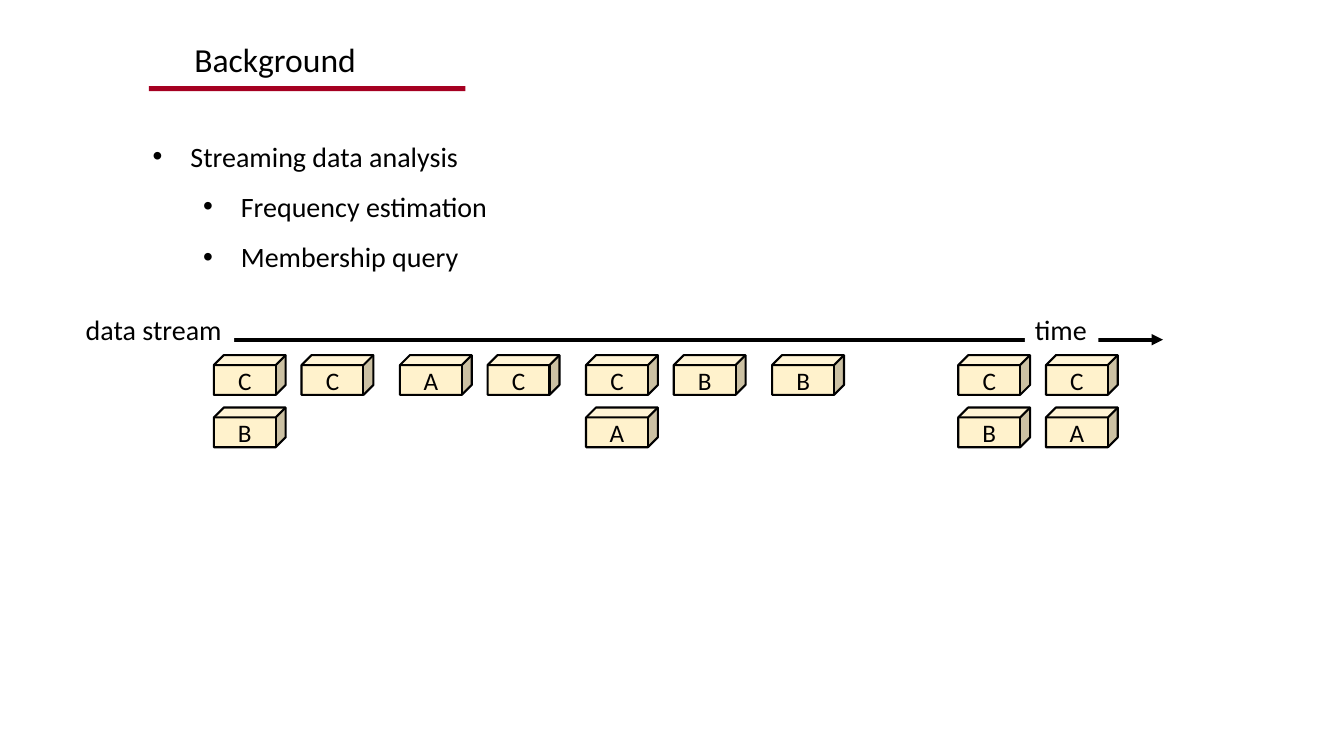
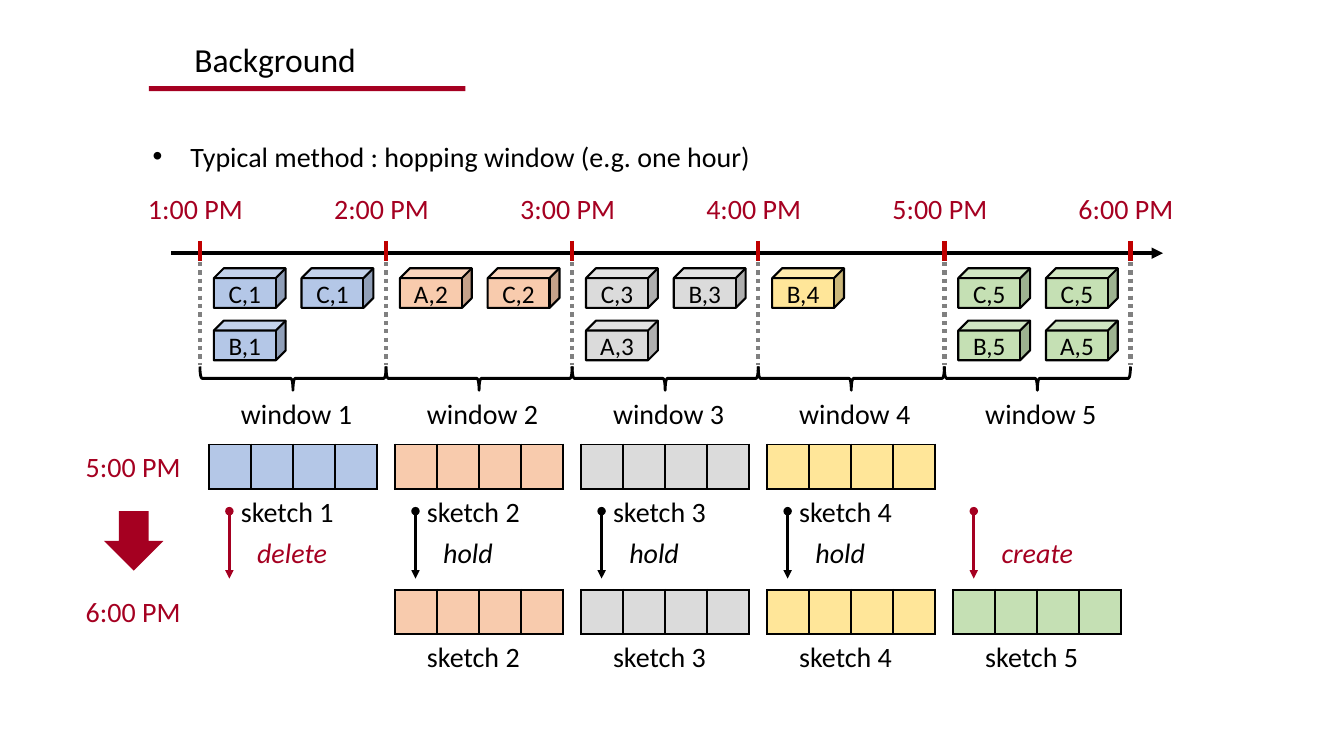
import pptx
import pptx.dml.color
import pptx.enum.dml
import pptx.enum.shapes
import pptx.enum.text
import pptx.oxml
import pptx.oxml.ns
import pptx.util

Cm = pptx.util.Cm
Pt = pptx.util.Pt
rgb = pptx.dml.color.RGBColor.from_string
SHAPE = pptx.enum.shapes.MSO_SHAPE
ALIGN = pptx.enum.text.PP_ALIGN
NS = pptx.oxml.ns.nsdecls("a")
FONT = "Calibri"
RED, BLACK, WHITE = "A50021", "000000", "FFFFFF"


def add_text(s, x, y, w, h, t, size=20, color=BLACK, italic=False, wrap=False):
    sp = s.shapes.add_textbox(Cm(x), Cm(y), Cm(w), Cm(h))
    tf = sp.text_frame
    tf.word_wrap = wrap
    tf.text = t
    for p in tf.paragraphs:
        for r in p.runs:
            r.font.name = FONT
            r.font.size = Pt(size)
            r.font.italic = italic
            r.font.color.rgb = rgb(color)
    return sp


def add_line(s, x1, y1, x2, y2, color, width, head="none", tail="none", dash=None):
    cn = s.shapes.add_connector(
        pptx.enum.shapes.MSO_CONNECTOR.STRAIGHT, Cm(x1), Cm(y1), Cm(x2), Cm(y2))
    cn.line.color.rgb = rgb(color)
    cn.line.width = Pt(width)
    if dash:
        cn.line.dash_style = dash
    ln = cn.get_or_add_ln()
    for tag, end in (("headEnd", head), ("tailEnd", tail)):
        ln.append(pptx.oxml.parse_xml(f'<a:{tag} {NS} type="{end}"/>'))
    cn._element.spPr.append(pptx.oxml.parse_xml(f"<a:effectLst {NS}/>"))


prs = pptx.Presentation()
prs.slide_width = Cm(33.87)
prs.slide_height = Cm(19.05)

START, PITCH = 5.04, 4.69
windows = [
    ("B4C7E7", "CCB"),
    ("F8CBAD", "AC"),
    ("DBDBDB", "CBA"),
    ("FFE699", "B"),
    ("C5E0B4", "CCBA"),
]
pages = [
    ([(0, "Streaming data analysis"), (1, "Frequency estimation"), (1, "Membership query")],
     8.56, 8.95, False),
    ([(0, "Typical method : hopping window (e.g. one hour)")], 6.38, 6.76, True),
]

for bullets, axis_y, cube_y, windowed in pages:
    s = prs.slides.add_slide(prs.slide_layouts[6])
    add_text(s, 4.65, 0.86, 18.24, 1.27, "Background", size=24, wrap=True)
    sp = s.shapes.add_shape(SHAPE.RECTANGLE, Cm(3.75), Cm(2.17), Cm(7.98), Cm(0.13))
    sp.shadow.inherit = False
    sp.fill.solid()
    sp.fill.fore_color.rgb = rgb(RED)
    sp.line.fill.background()

    t = "\n".join(item for level, item in bullets)
    sp = add_text(s, 2.31, 3.38, 27.48, 1.28 * len(bullets) - 0.16, t, wrap=True)
    for p, (level, item) in zip(sp.text_frame.paragraphs, bullets):
        p.level = level
        p.alignment = ALIGN.JUSTIFY
        p.space_after = Pt(12)
        pPr = p._p.get_or_add_pPr()
        pPr.set("marL", str(Cm(2.24 + 1.27 * level)))
        pPr.set("indent", str(Cm(-0.95)))
        pPr.append(pptx.oxml.parse_xml(f'<a:buFont {NS} typeface="Arial"/>'))
        pPr.append(pptx.oxml.parse_xml(f'<a:buChar {NS} char="•"/>'))

    add_line(s, 4.32, axis_y, 29.31, axis_y, BLACK, 2.75, tail="triangle")

    for i, (color, items) in enumerate(windows):
        for k, item in enumerate(items):
            row, col = divmod(k, 2)
            sp = s.shapes.add_shape(
                SHAPE.CUBE, Cm(START + PITCH * i + 0.35 + 2.21 * col),
                Cm(cube_y + 1.32 * row), Cm(1.81), Cm(1))
            sp.shadow.inherit = False
            sp.fill.solid()
            sp.fill.fore_color.rgb = rgb(color if windowed else "FFF2CC")
            sp.line.color.rgb = rgb(BLACK)
            sp.line.width = Pt(1.5)
            tf = sp.text_frame
            tf.margin_left = tf.margin_right = tf.margin_top = tf.margin_bottom = 0
            tf.vertical_anchor = pptx.enum.text.MSO_ANCHOR.MIDDLE
            tf.text = f"{item},{i + 1}" if windowed else item
            p = tf.paragraphs[0]
            p.alignment = ALIGN.CENTER
            r = p.runs[0]
            r.font.name = FONT
            r.font.size = Pt(18)
            r.font.color.rgb = rgb(BLACK)

s = prs.slides[0]
for x, w, t in [(1.91, 3.99, "data stream"), (25.83, 1.85, "time")]:
    sp = add_text(s, x, 7.75, w, 1.11, t)
    sp.fill.solid()
    sp.fill.fore_color.rgb = rgb(WHITE)

s = prs.slides[1]
for i in range(len(windows) + 1):
    x = START + PITCH * i
    add_line(s, x, 6.07, x, 6.58, "C00000", 3)
    add_line(s, x, 6.6, x, 9.2, "808080", 3, dash=pptx.enum.dml.MSO_LINE.ROUND_DOT)
    add_text(s, x - 1.56, 4.7, 2.92, 1.11, f"{i + 1}:00 PM", color=RED)

actions = [("delete", RED, 2.29), ("hold", BLACK, 1.8), ("hold", BLACK, 1.8),
           ("hold", BLACK, 1.8), ("create", RED, 2.34)]
for i, (action, color, w) in enumerate(actions):
    x = START + PITCH * i
    sp = s.shapes.add_shape(
        SHAPE.LEFT_BRACE, Cm(x + PITCH / 2 - 0.3), Cm(7.19), Cm(0.6), Cm(PITCH))
    sp.rotation = 270
    sp.shadow.inherit = False
    sp.fill.background()
    sp.line.color.rgb = rgb(BLACK)
    sp.line.width = Pt(2)
    add_text(s, x + 0.78, 9.86, 3.33, 1.11, f"window {i + 1}")
    add_line(s, x + 0.74, 12.88, x + 0.74, 14.58, color, 2, head="oval", tail="triangle")
    add_text(s, x + 1.19, 13.36, w, 1.11, action, color=color, italic=True)

for y, hour, first, last in [(11.2, 5, 0, 3), (14.86, 6, 1, 4)]:
    add_text(s, 1.91, y, 2.92, 1.11, f"{hour}:00 PM", color=RED)
    for i in range(first, last + 1):
        x = START + PITCH * i
        table = s.shapes.add_table(1, 4, Cm(x + 0.22), Cm(y), Cm(4.24), Cm(1.12)).table
        table.first_row = table.horz_banding = False
        for cell in table.iter_cells():
            tcPr = cell._tc.get_or_add_tcPr()
            for side in "LRTB":
                tcPr.append(pptx.oxml.parse_xml(
                    f'<a:ln{side} {NS} w="{Pt(1.5)}"><a:solidFill>'
                    f'<a:srgbClr val="{BLACK}"/></a:solidFill></a:ln{side}>'))
            cell.fill.solid()
            cell.fill.fore_color.rgb = rgb(windows[i][0])
        add_text(s, x + 0.78, y + 1.13, 2.87, 1.11, f"sketch {i + 1}")

sp = s.shapes.add_shape(SHAPE.DOWN_ARROW, Cm(2.62), Cm(12.88), Cm(1.5), Cm(1.5))
sp.shadow.inherit = False
sp.fill.solid()
sp.fill.fore_color.rgb = rgb(RED)
sp.line.fill.background()

prs.save("out.pptx")
